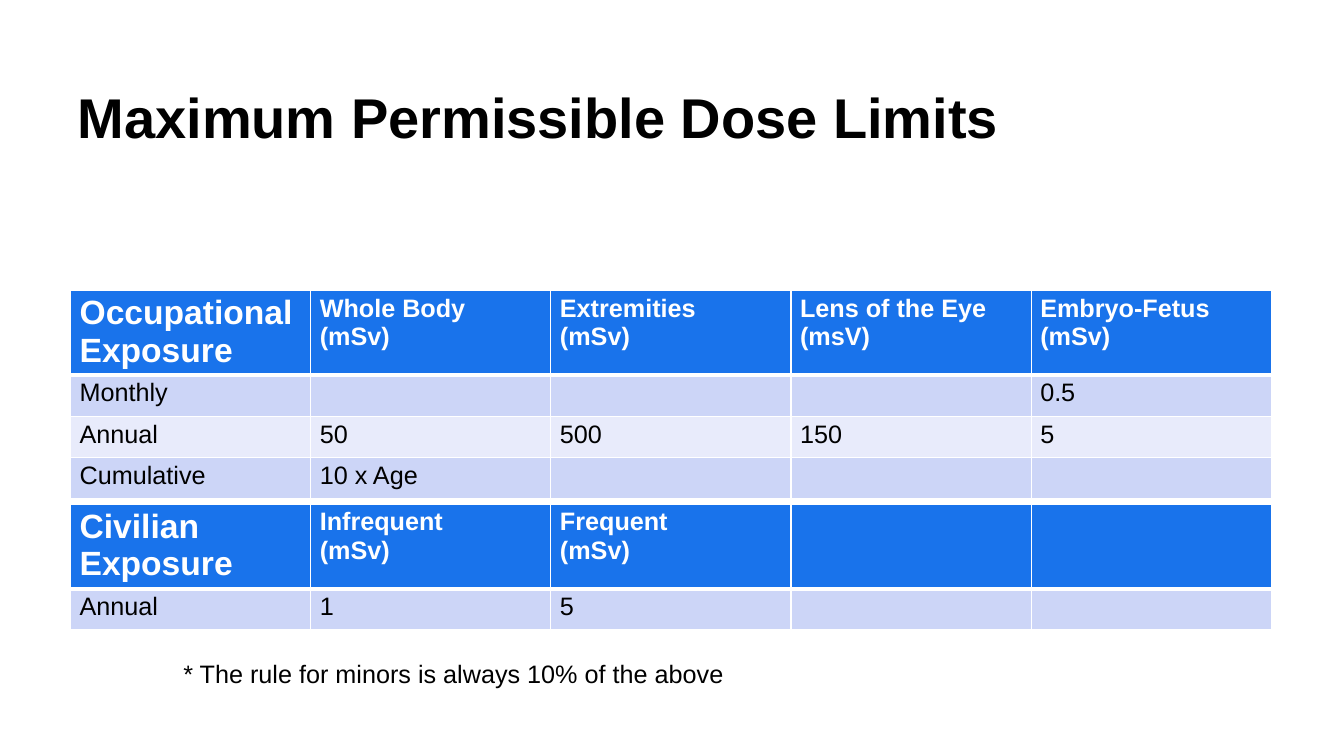
from lxml import etree
from pptx import Presentation
from pptx.dml.color import RGBColor
from pptx.enum import text
from pptx.oxml import ns
from pptx.util import Inches, Pt

TITLE = "Maximum Permissible Dose Limits"
OCCUPATIONAL = [
    ["Occupational Exposure", "Whole Body\n(mSv)", "Extremities\n(mSv)",
     "Lens of the Eye (msV)", "Embryo-Fetus\n(mSv)"],
    ["Monthly", "", "", "", "0.5"],
    ["Annual", "50", "500", "150", "5"],
    ["Cumulative", "10 x Age", "", "", ""],
]
CIVILIAN = [
    ["Civilian Exposure", "Infrequent\n(mSv)", "Frequent\n(mSv)", "", ""],
    ["Annual", "1", "5", "", ""],
]
FOOTNOTE = "* The rule for minors is always 10% of the above"
COLORS = {"header": "1973EB", "odd": "CCD5F7", "even": "E8EBFB",
          "white": "FFFFFF", "black": "000000"}
LEFT, WIDTH = 0.7, 11.91
HEADER_H, ROW_H = 0.84, 0.41


def set_font(p, size, color="black", bold=False):
    p.font.name = "Arial"
    p.font.size = Pt(size)
    p.font.bold = bold
    p.font.color.rgb = RGBColor.from_string(COLORS[color])


def add_borders(cell, bottom):
    tcPr = cell._tc.get_or_add_tcPr()
    for side, points in (("L", 1), ("R", 1), ("T", 1), ("B", bottom)):
        ln = etree.SubElement(tcPr, ns.qn(f"a:ln{side}"), w=str(Pt(points)))
        fill = etree.SubElement(ln, ns.qn("a:solidFill"))
        etree.SubElement(fill, ns.qn("a:srgbClr"), val=COLORS["white"])


def add_dose_table(s, top, rows):
    n_cols = len(rows[0])
    height = HEADER_H + ROW_H * (len(rows) - 1)
    table = s.shapes.add_table(len(rows), n_cols, Inches(LEFT), Inches(top),
                               Inches(WIDTH), Inches(height)).table
    for col in table.columns:
        col.width = Inches(WIDTH / n_cols)
    for i, row in enumerate(rows):
        header = i == 0
        table.rows[i].height = Inches(HEADER_H if header else ROW_H)
        band = "header" if header else "odd" if i % 2 else "even"
        for j, value in enumerate(row):
            cell = table.cell(i, j)
            add_borders(cell, 3 if header else 1)
            cell.fill.solid()
            cell.fill.fore_color.rgb = RGBColor.from_string(COLORS[band])
            cell.margin_left = cell.margin_right = Inches(0.09)
            cell.margin_top = cell.margin_bottom = Inches(0.04)
            cell.text = value
            for p in cell.text_frame.paragraphs:
                set_font(p, 24 if header and j == 0 else 18,
                         "white" if header else "black", header)


prs = Presentation()
prs.slide_width, prs.slide_height = Inches(13.33), Inches(7.5)
s = prs.slides.add_slide(prs.slide_layouts[5])

title = s.shapes.title
title.left, title.top = Inches(0.71), Inches(0.72)
title.width, title.height = Inches(WIDTH), Inches(1.2)
tf = title.text_frame
tf.text = TITLE
tf.vertical_anchor = text.MSO_ANCHOR.TOP
tf.margin_left, tf.margin_top = Inches(0.06), Inches(0.1)
tf.paragraphs[0].alignment = text.PP_ALIGN.LEFT
set_font(tf.paragraphs[0], 40, bold=True)

add_dose_table(s, 2.88, OCCUPATIONAL)
add_dose_table(s, 5, CIVILIAN)

note = s.shapes.add_textbox(Inches(1.72), Inches(6.48), Inches(7.23), Inches(0.4))
tf = note.text_frame
tf.word_wrap = True
tf.auto_size = text.MSO_AUTO_SIZE.SHAPE_TO_FIT_TEXT
tf.text = FOOTNOTE
set_font(tf.paragraphs[0], 18)

prs.save("out.pptx")
